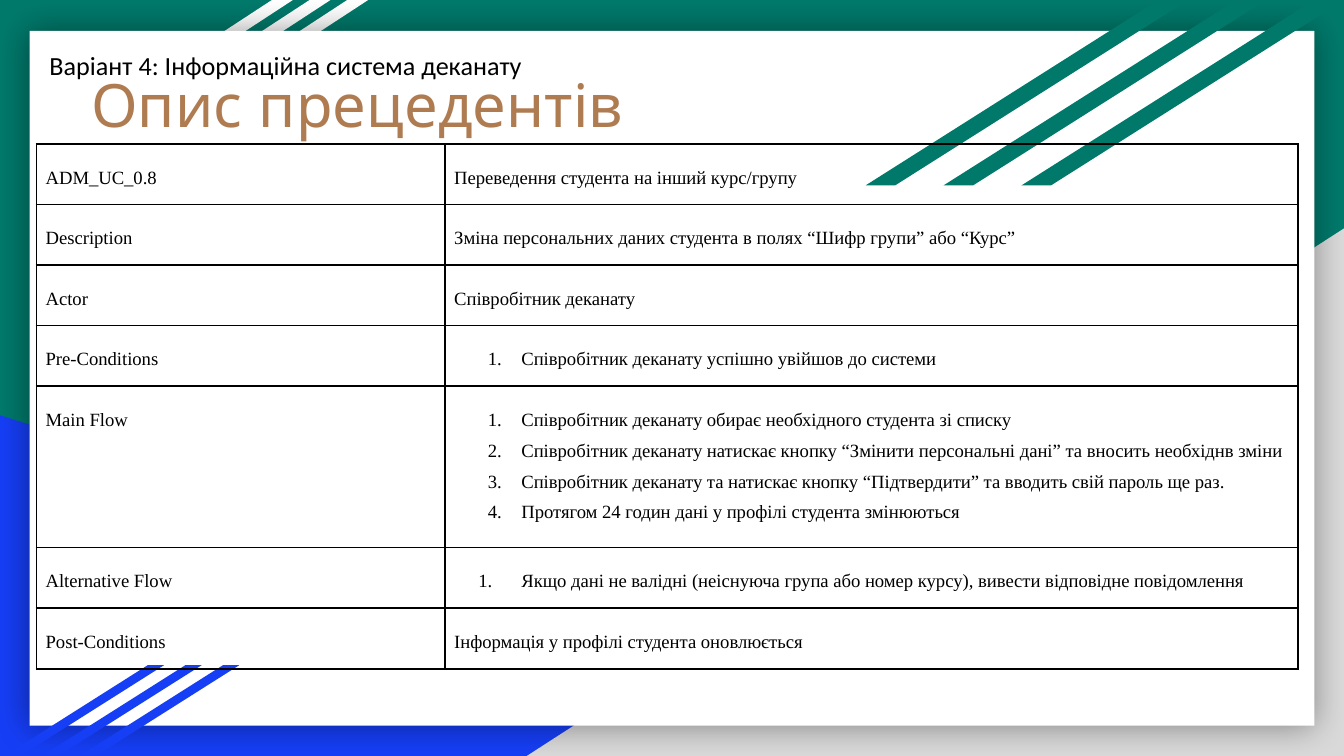
from lxml import etree
from pptx import Presentation
from pptx.dml.color import RGBColor
from pptx.enum import shapes, text
from pptx.oxml import ns
from pptx.util import Inches, Pt

COLORS = {"green": "00796B", "blue": "163EF5", "gray": "D9D9D9",
          "white": "FFFFFF", "brown": "AF7B51", "black": "000000"}

SLIDE_WIDTH = 10
SLIDE_HEIGHT = SLIDE_WIDTH * 9 / 16

HEADER = "Варіант 4: Інформаційна система деканату"
TITLE = "Опис прецедентів"

# label, content (a list has hanging indents), row height
USE_CASE = [
    ("ADM_UC_0.8", "Переведення студента на інший курс/групу", 0.43),
    ("Description", "Зміна персональних даних студента в полях “Шифр групи” або “Курс”", 0.43),
    ("Actor", "Співробітник деканату", 0.43),
    ("Pre-Conditions", ["1.\tСпівробітник деканату успішно увійшов до системи"], 0.43),
    ("Main Flow", [
        "1.\tСпівробітник деканату обирає необхідного студента зі списку",
        "2.\tСпівробітник деканату натискає кнопку “Змінити персональні дані” та вносить необхіднв зміни",
        "3.\tСпівробітник деканату та натискає кнопку “Підтвердити” та вводить свій пароль ще раз.",
        "4.\tПротягом 24 годин дані у профілі студента змінюються",
    ], 1.11),
    ("Alternative Flow", [
        "Якщо дані не валідні (неіснуюча група або номер курсу), вивести відповідне повідомлення",
    ], 0.43),
    ("Post-Conditions", "Інформація у профілі студента оновлюється", 0.43),
]
AUTO_NUMBERED = {"Alternative Flow"}
COLUMN_WIDTHS = (3.04, 6.35)

# rightmost left edge, top, width, height, step to the left, slant, colour
TOP_LEFT_STRIPES = (0.84, 0, 1.9, 1.14, 0.28, 1.53, "white")
BOTTOM_STRIPES = (0.6, 4.95, 1.18, 0.67, 0.28, 1.58, "blue")
TOP_RIGHT_STRIPES = (7.6, 0, 2.4, 1.38, 0.58, 1.58, "green")


def rgb(name):
    return RGBColor.from_string(COLORS[name])


def add_child(parent, tag, **attributes):
    child = etree.SubElement(parent, ns.qn(tag))
    for name, value in attributes.items():
        child.set(name, str(value))
    return child


def add_block(slide, kind, left, top, width, height, color):
    shape = slide.shapes.add_shape(kind, *map(Inches, (left, top, width, height)))
    shape.shadow.inherit = False
    shape.fill.solid()
    shape.fill.fore_color.rgb = rgb(color)
    shape.line.fill.background()
    return shape


def add_stripes(slide, left, top, width, height, step, slant, color):
    for index in range(3):
        stripe = add_block(slide, shapes.MSO_SHAPE.PARALLELOGRAM,
                           left - index * step, top, width, height, color)
        stripe.adjustments[0] = slant


def add_background(slide):
    slide.background.fill.solid()
    slide.background.fill.fore_color.rgb = rgb("green")
    triangle = shapes.MSO_SHAPE.RIGHT_TRIANGLE
    add_block(slide, triangle, 0, 3.09, 8.06, SLIDE_HEIGHT - 3.09, "blue")
    corner = add_block(slide, triangle, 3.92, 1.7, 6.08, SLIDE_HEIGHT - 1.7, "gray")
    corner._element.spPr.xfrm.set("flipH", "1")
    add_stripes(slide, *TOP_LEFT_STRIPES)
    card = add_block(slide, shapes.MSO_SHAPE.RECTANGLE, 0.22, 0.23, 9.56, 5.17, "white")
    effects = card._element.spPr.find(ns.qn("a:effectLst"))
    shadow = add_child(effects, "a:outerShdw", blurRad=Pt(18), dist=0, dir=0,
                       algn="ctr", rotWithShape=0)
    color = add_child(shadow, "a:srgbClr", val=COLORS["black"])
    add_child(color, "a:alpha", val=40000)
    add_stripes(slide, *BOTTOM_STRIPES)
    add_stripes(slide, *TOP_RIGHT_STRIPES)


def write(frame, content, size, font, color="black", align=text.PP_ALIGN.LEFT,
          spacing=1.0, auto_number=False):
    """Fill a text frame; a list becomes paragraphs with hanging indents."""
    listed = isinstance(content, list)
    for index, line in enumerate(content if listed else [content]):
        paragraph = frame.add_paragraph() if index else frame.paragraphs[0]
        paragraph.alignment = align
        paragraph.line_spacing = spacing
        run = paragraph.add_run()
        run.text = line
        run.font.size = Pt(size)
        run.font.name = font
        run.font.color.rgb = rgb(color)
        if listed:
            properties = paragraph._p.get_or_add_pPr()
            properties.set("marL", str(Inches(0.5)))
            properties.set("indent", str(-Inches(0.32 if auto_number else 0.25)))
            if auto_number:
                bullet_color = add_child(properties, "a:buClr")
                add_child(bullet_color, "a:srgbClr", val=COLORS[color])
                add_child(properties, "a:buFont", typeface=font)
                add_child(properties, "a:buAutoNum", type="arabicPeriod")


def add_text(slide, content, left, top, width, height,
             anchor=text.MSO_ANCHOR.TOP, **style):
    frame = slide.shapes.add_textbox(*map(Inches, (left, top, width, height))).text_frame
    frame.word_wrap = True
    frame.vertical_anchor = anchor
    frame.margin_left = frame.margin_right = Inches(0.1)
    frame.margin_top = frame.margin_bottom = Inches(0.1)
    write(frame, content, **style)


def style_cell(cell):
    cell.margin_left = cell.margin_right = Inches(0.07)
    cell.margin_top = cell.margin_bottom = Inches(0.1)
    properties = cell._tc.get_or_add_tcPr()
    for side in ("a:lnL", "a:lnR", "a:lnT", "a:lnB"):
        line = add_child(properties, side, w=Pt(1))
        add_child(add_child(line, "a:solidFill"), "a:srgbClr", val=COLORS["black"])
    cell.fill.background()


def add_use_case_table(slide):
    height = sum(row[2] for row in USE_CASE)
    table = slide.shapes.add_table(
        len(USE_CASE), len(COLUMN_WIDTHS), Inches(0.27), Inches(1.07),
        Inches(sum(COLUMN_WIDTHS)), Inches(height)).table
    table.first_row = table.horz_banding = False
    for column, width in zip(table.columns, COLUMN_WIDTHS):
        column.width = Inches(width)
    for row, (label, content, row_height) in zip(table.rows, USE_CASE):
        row.height = Inches(row_height)
        for cell, value in zip(row.cells, (label, content)):
            style_cell(cell)
            write(cell.text_frame, value, size=10, font="Times New Roman",
                  align=text.PP_ALIGN.JUSTIFY, spacing=1.5,
                  auto_number=label in AUTO_NUMBERED)


def main():
    presentation = Presentation()
    presentation.slide_width = Inches(SLIDE_WIDTH)
    presentation.slide_height = Inches(SLIDE_HEIGHT)
    slide = presentation.slides.add_slide(presentation.slide_layouts[6])
    add_background(slide)
    add_text(slide, TITLE, -0.82, 0.21, 6.96, 1.13, anchor=text.MSO_ANCHOR.MIDDLE,
             size=32, font="Quicksand", color="brown", align=text.PP_ALIGN.CENTER)
    add_text(slide, HEADER, 0.27, 0.27, 4, 0.44, size=14, font="Calibri")
    add_use_case_table(slide)
    presentation.save("out.pptx")


if __name__ == "__main__":
    main()
